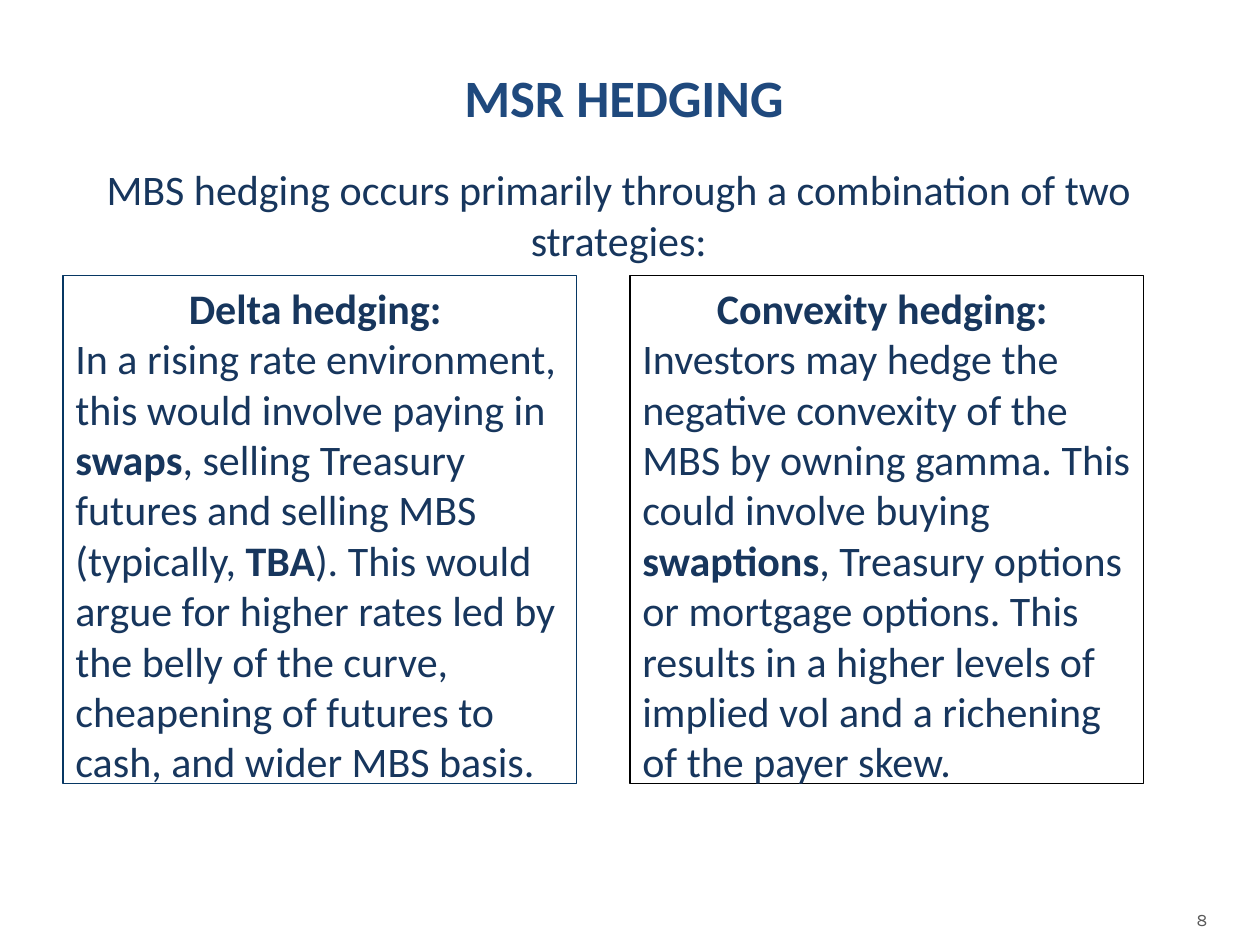
from dataclasses import dataclass

from pptx import Presentation
from pptx.dml.color import RGBColor
from pptx.enum.text import MSO_ANCHOR, PP_ALIGN
from pptx.util import Cm, Pt


@dataclass(frozen=True)
class Theme:
    title: str = "1F497D"
    body: str = "17365D"
    number: str = "595959"
    font: str = "Calibri"
    number_font: str = "Karla"
    title_size: int = 30
    body_size: int = 24
    number_size: int = 10
    border_width: float = 0.75


THEME = Theme()

TITLE = "MSR HEDGING "
INTRODUCTION = "MBS hedging occurs primarily through a combination of two strategies:"
PAGE_NUMBER = "8"
STRATEGIES = [
    {
        "heading": "Delta hedging: ",
        "border": "073763",
        "runs": [
            ("In a rising rate environment, this would involve paying in ", False),
            ("swaps", True),
            (", selling Treasury futures and selling MBS (typically, ", False),
            ("TBA", True),
            ("). This would argue for higher rates led by the belly of the curve, "
             "cheapening of futures to cash, and wider MBS basis.", False),
        ],
    },
    {
        "heading": "Convexity hedging: ",
        "border": "000000",
        "runs": [
            ("Investors may hedge the negative convexity of the MBS by owning gamma. "
             "This could involve buying ", False),
            ("swaptions", True),
            (", Treasury options or mortgage options. This results in a higher levels "
             "of implied vol and a richening of the payer skew.", False),
        ],
    },
]

PANEL_LEFT, PANEL_TOP = 1.27, 5.56
PANEL_WIDTH, PANEL_HEIGHT = 10.36, 10.24
PANEL_STEP = 11.43


def add_text(slide, paragraphs, *, box, size=THEME.body_size, color=THEME.body,
             font=THEME.font, anchor=MSO_ANCHOR.TOP, inset=0.13, border=None):
    shape = slide.shapes.add_textbox(*(Cm(length) for length in box))
    frame = shape.text_frame
    frame.word_wrap = True
    frame.vertical_anchor = anchor
    frame.margin_left = frame.margin_right = Cm(0.25)
    frame.margin_top = frame.margin_bottom = Cm(inset)
    if border:
        shape.line.color.rgb = RGBColor.from_string(border)
        shape.line.width = Pt(THEME.border_width)
    for index, (alignment, runs) in enumerate(paragraphs):
        paragraph = frame.add_paragraph() if index else frame.paragraphs[0]
        paragraph.alignment = alignment
        for text, bold in runs:
            run = paragraph.add_run()
            run.text = text
            run.font.name = font
            run.font.size = Pt(size)
            run.font.bold = bold
            run.font.color.rgb = RGBColor.from_string(color)
    return shape


def main():
    presentation = Presentation()
    presentation.slide_width, presentation.slide_height = Cm(25.4), Cm(19.05)
    slide = presentation.slides.add_slide(presentation.slide_layouts[6])

    add_text(slide, [(PP_ALIGN.CENTER, [(TITLE, True)])],
             box=(1.27, 0.36, 22.86, 3.18), size=THEME.title_size,
             color=THEME.title, anchor=MSO_ANCHOR.MIDDLE)
    add_text(slide, [(PP_ALIGN.CENTER, [(INTRODUCTION, False)])],
             box=(0.51, 3.05, 23.93, 2.82), inset=0.25)
    for index, strategy in enumerate(STRATEGIES):
        add_text(slide,
                 [(PP_ALIGN.CENTER, [(strategy["heading"], True)]),
                  (PP_ALIGN.LEFT, strategy["runs"])],
                 box=(PANEL_LEFT + index * PANEL_STEP, PANEL_TOP,
                      PANEL_WIDTH, PANEL_HEIGHT),
                 border=strategy["border"])
    add_text(slide, [(PP_ALIGN.RIGHT, [(PAGE_NUMBER, False)])],
             box=(18.67, 18.03, 5.92, 1.02), size=THEME.number_size,
             color=THEME.number, font=THEME.number_font, anchor=MSO_ANCHOR.MIDDLE)

    presentation.save("out.pptx")


if __name__ == "__main__":
    main()
